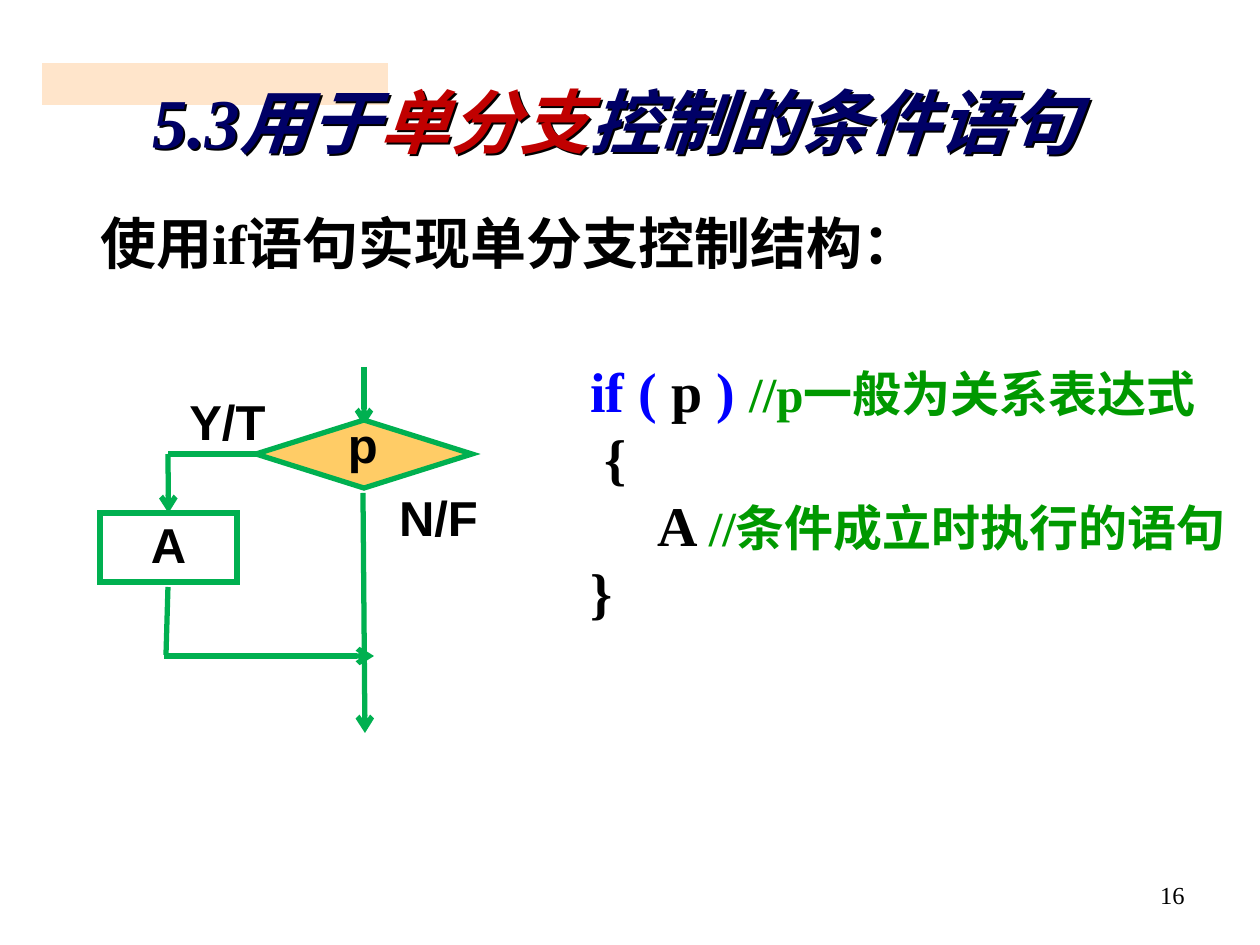
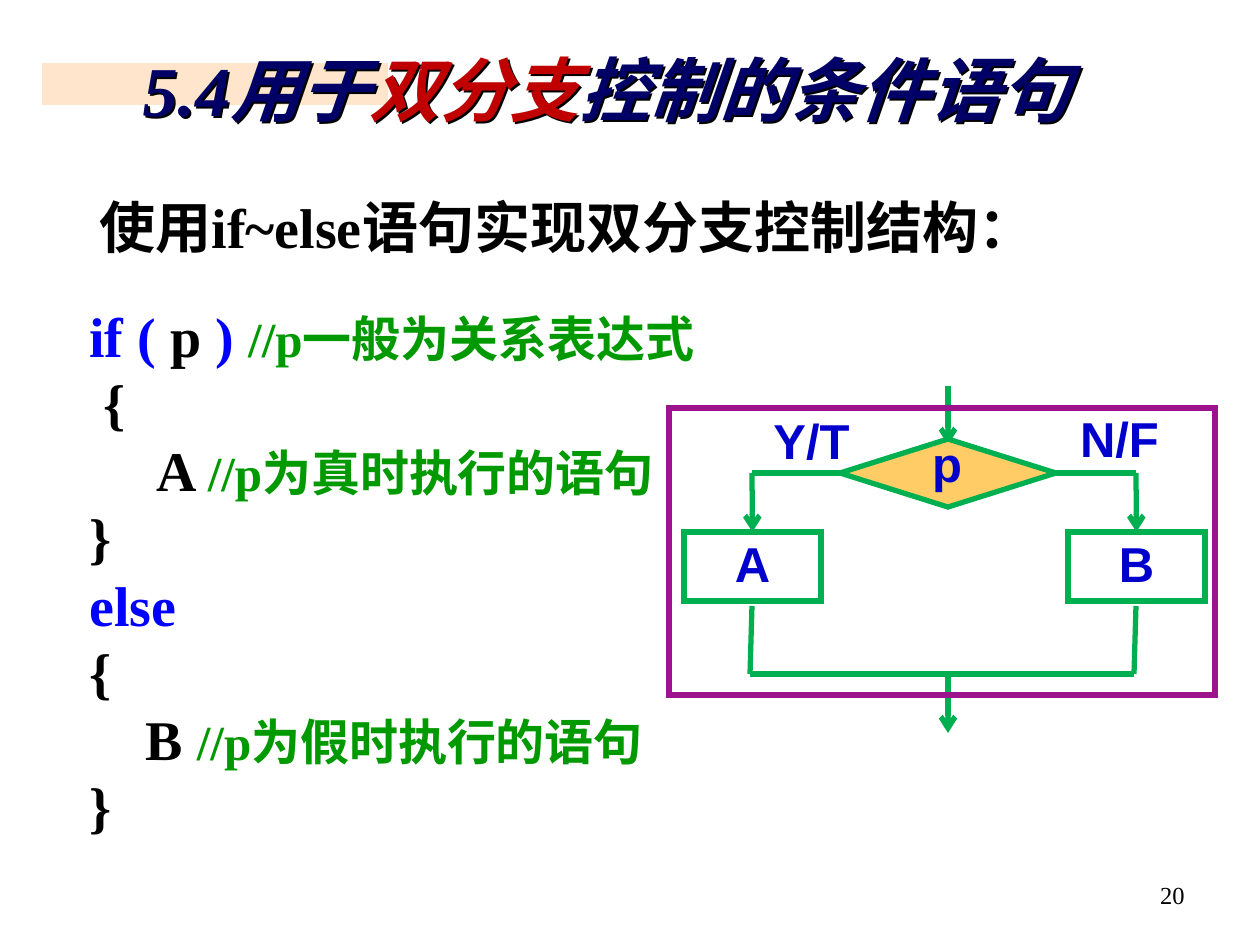
from lxml.etree import SubElement
from pptx import Presentation
from pptx.dml.color import RGBColor
from pptx.enum.shapes import MSO_CONNECTOR, MSO_SHAPE
from pptx.enum.text import MSO_ANCHOR, MSO_AUTO_SIZE, PP_ALIGN
from pptx.oxml.ns import qn
from pptx.util import Pt

EMU_PER_PX = 914400 / 126
SERIF, SANS = "Times New Roman", "Arial"
BLACK, NAVY, RED = "000000", "000066", "C00000"
KEYWORD, COMMENT, LABEL_BLUE = "0000FF", "009900", "0000CC"
GREEN, AMBER, PURPLE, PEACH = "00B050", "FFCC66", "9D138D", "FFCC99"

CONDITION = [("if (", 32, KEYWORD), (" p ", 32, BLACK), (") ", 32, KEYWORD),
             ("//p一般为关系表达式", 28, COMMENT)]


def px(n):
    return round(n * EMU_PER_PX)


def rgb(color):
    return RGBColor.from_string(color)


def add_run(p, text, size, color, font=SERIF, bold=True):
    r = p.add_run()
    r.text = text
    r.font.size, r.font.name, r.font.bold = Pt(size), font, bold
    r.font.color.rgb = rgb(color)
    return r


def add_text(s, box, lines, align=PP_ALIGN.LEFT, wrap=True, grow=True, **style):
    """Each line is a list of (text, size, color) runs."""
    sp = s.shapes.add_textbox(*map(px, box))
    tf = sp.text_frame
    tf.word_wrap = wrap
    tf.auto_size = MSO_AUTO_SIZE.SHAPE_TO_FIT_TEXT if grow else MSO_AUTO_SIZE.NONE
    for i, line in enumerate(lines):
        p = tf.add_paragraph() if i else tf.paragraphs[0]
        p.alignment = align
        for text, size, color in line:
            add_run(p, text, size, color, **style)
    return sp


def add_box(s, box, line=None, fill=None, kind=MSO_SHAPE.RECTANGLE):
    sp = s.shapes.add_shape(kind, *map(px, box))
    sp.shadow.inherit = False
    if fill:
        sp.fill.solid()
        sp.fill.fore_color.rgb = rgb(fill)
    else:
        sp.fill.background()
    if line:
        sp.line.color.rgb, sp.line.width = rgb(line), Pt(3)
        SubElement(sp.line._get_or_add_ln(), qn("a:miter"), lim="800000")
    else:
        sp.line.fill.background()
    return sp


def add_line(s, x1, y1, x2, y2, arrow=False):
    c = s.shapes.add_connector(MSO_CONNECTOR.STRAIGHT, *map(px, (x1, y1, x2, y2)))
    c.line.color.rgb, c.line.width = rgb(GREEN), Pt(3)
    if arrow:
        SubElement(c.line._get_or_add_ln(), qn("a:tailEnd"), type="arrow")
    SubElement(c._element.spPr, qn("a:effectLst"))
    return c


def label_text(tf, text, color):
    p = tf.paragraphs[0]
    p.alignment, p.line_spacing = PP_ALIGN.CENTER, 0.95
    add_run(p, text, 28, color, SANS)


def add_label(s, box, text, color):
    label_text(add_text(s, box, [[]]).text_frame, text, color)


# Flowchart parts, placed from the centre (cx, cy) of the diamond
def add_decision(s, cx, cy, color):
    add_line(s, cx, cy - 87, cx, cy - 28, arrow=True)
    diamond = add_box(s, (cx - 108, cy - 34, 216, 68), GREEN, AMBER,
                      MSO_SHAPE.FLOWCHART_DECISION)
    add_label(s, (cx - 40, cy - 41, 78, 69), "p", color)
    add_label(s, (cx - 201, cy - 64, 129, 69), "Y/T", color)
    return diamond


def add_branch(s, diamond, site, x, cy, text, color):
    """Line from the diamond's side, down into a statement box, then out of it."""
    sp = add_box(s, (x - 68, cy + 59, 137, 69), GREEN)
    tf = sp.text_frame
    tf.word_wrap, tf.vertical_anchor = True, MSO_ANCHOR.TOP
    label_text(tf, text, color)
    add_line(s, x, cy, x, cy).begin_connect(diamond, site)
    add_line(s, x, cy, x, cy + 59, arrow=True).end_connect(sp, 0)
    add_line(s, x - 2, cy + 201, x, cy + 133)


# Parts shared by the slides
def add_slide(prs, number, title_box, title, subtitle_box, subtitle):
    s = prs.slides.add_slide(prs.slide_layouts[6])
    add_text(s, (903, 874, 294, 66), [[(number, 14, BLACK)]],
             PP_ALIGN.RIGHT, grow=False, bold=False)
    band = add_box(s, (42, 63, 346, 42), fill=PEACH)
    band_color = band._element.spPr.find(qn("a:solidFill"))[0]
    SubElement(band_color, qn("a:alpha"), val="50000")

    runs = [(text, 40, color) for text, color in zip(title, (NAVY, RED, NAVY))]
    sp = add_text(s, title_box, [runs], PP_ALIGN.CENTER, grow=False)
    add_title_shadow(sp)
    sp.text_frame.vertical_anchor = MSO_ANCHOR.MIDDLE
    p = sp.text_frame.paragraphs[0]
    p.line_spacing = 0.85
    for r in p.runs:
        r.font.italic = True
    add_text(s, subtitle_box, [[(subtitle, 32, BLACK)]], wrap=False)
    return s


def add_title_shadow(sp):
    """An unfilled box casts the shadow of its text."""
    effects = SubElement(sp._element.spPr, qn("a:effectLst"))
    shadow = SubElement(effects, qn("a:outerShdw"), dist="20000", dir="2700000")
    SubElement(shadow, qn("a:srgbClr"), val=BLACK)


def code(text, color=BLACK):
    return [(text, 32, color)]


def statement(text, comment):
    return code(text) + [(comment, 28, COMMENT)]


def single_branch_slide(prs):
    s = add_slide(prs, "16", (78, 69, 1075, 116),
                  ("5.3用于", "单分支", "控制的条件语句"),
                  (88, 202, 871, 81), "使用if语句实现单分支控制结构：")
    cx, cy = 364, 454
    add_line(s, cx - 1, cy + 39, cx + 1, cy + 279, arrow=True)
    diamond = add_decision(s, cx, cy, BLACK)
    add_branch(s, diamond, 1, cx - 196, cy, "A", BLACK)
    add_label(s, (cx, cy + 32, 149, 69), "N/F", BLACK)
    add_line(s, cx - 200, cy + 202, cx + 10, cy + 202, arrow=True)
    add_text(s, (578, 350, 678, 282), [
        CONDITION, code(" {"),
        statement("     A ", "//条件成立时执行的语句"), code("}")], wrap=False)


def double_branch_slide(prs):
    s = add_slide(prs, "20", (95, 21, 1022, 149),
                  ("5.4用于", "双分支", "控制的条件语句"),
                  (87, 186, 988, 81), "使用if~else语句实现双分支控制结构：")
    cx, cy = 948, 473
    diamond = add_decision(s, cx, cy, LABEL_BLUE)
    left, right = cx - 196, cx + 188
    add_branch(s, diamond, 1, left, cy, "A", LABEL_BLUE)
    add_branch(s, diamond, 3, right, cy, "B", LABEL_BLUE)
    add_label(s, (cx + 97, cy - 66, 149, 69), "N/F", LABEL_BLUE)
    add_line(s, right - 2, cy + 201, left - 2, cy + 201)
    add_line(s, cx, cy + 201, cx, cy + 260, arrow=True)
    add_box(s, (669, 408, 546, 287), PURPLE)
    add_text(s, (77, 295, 648, 551), [
        CONDITION, code(" {"),
        statement("     A ", "//p为真时执行的语句"), code("}"),
        code("else", KEYWORD), code("{"),
        statement("    B ", "//p为假时执行的语句"), code("}")], wrap=False)


def main():
    prs = Presentation()
    prs.slide_width, prs.slide_height = px(1260), px(945)
    single_branch_slide(prs)
    double_branch_slide(prs)
    prs.save("out.pptx")


if __name__ == "__main__":
    main()
